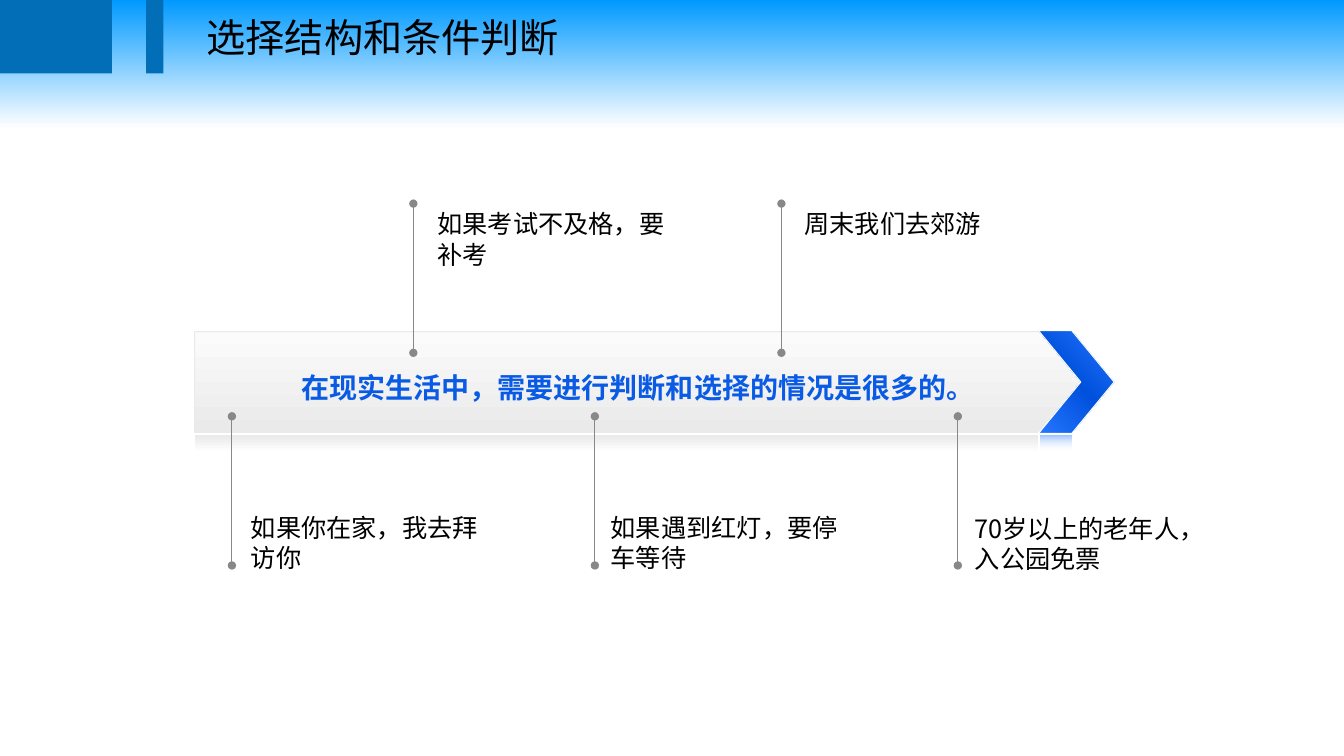
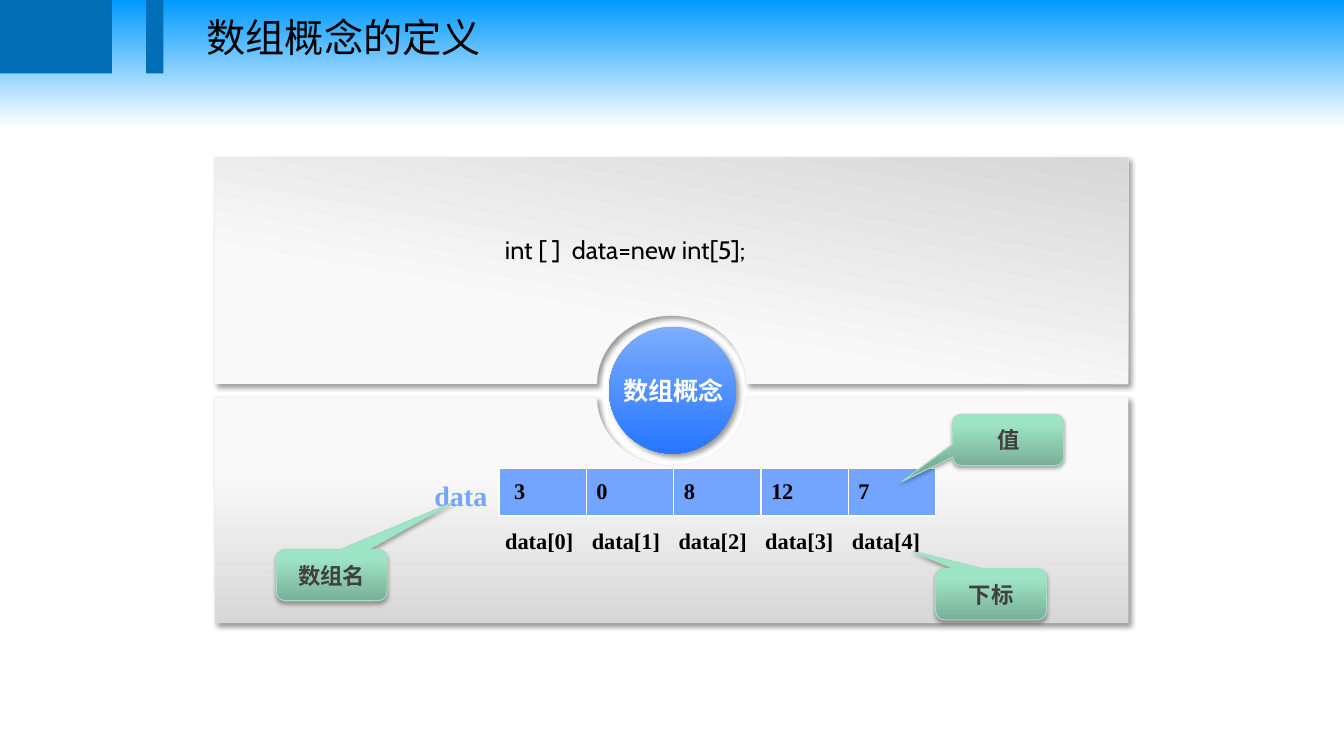
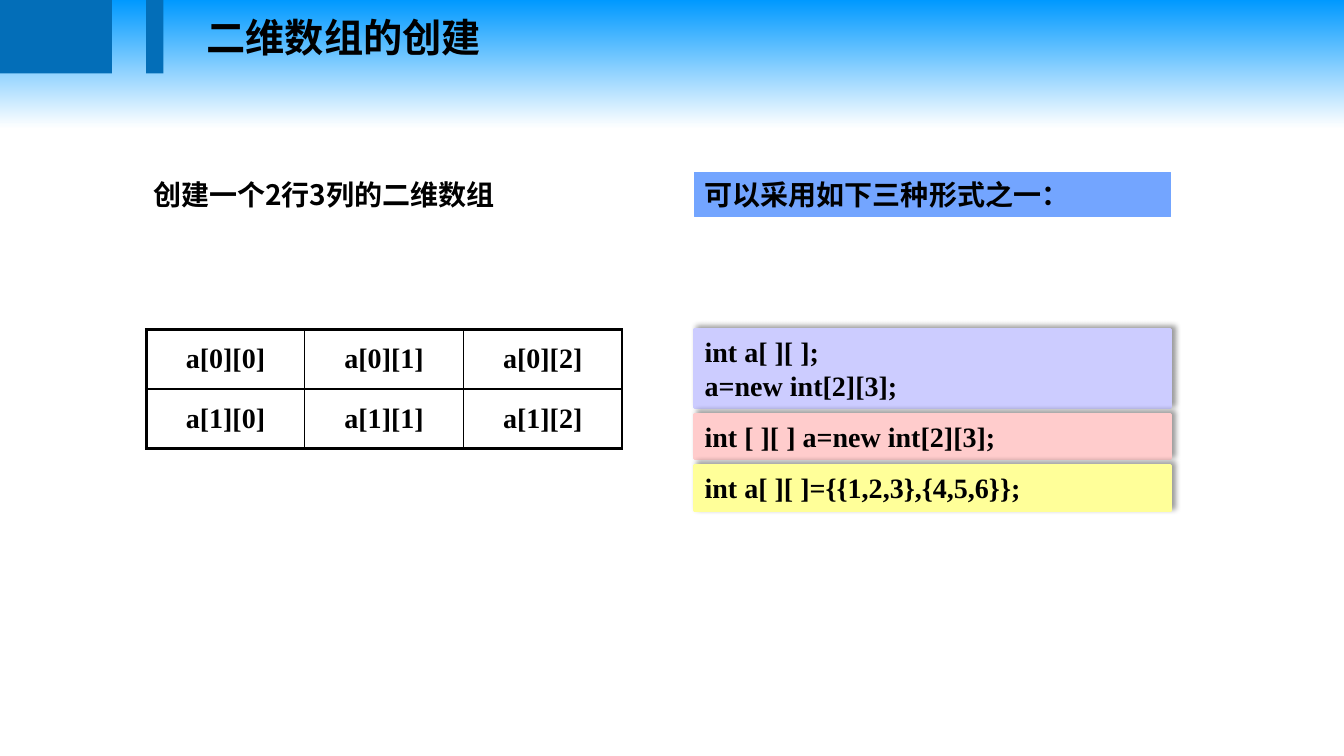
import math

from pptx import Presentation
from pptx.dml.color import RGBColor
from pptx.enum.shapes import MSO_CONNECTOR, MSO_SHAPE
from pptx.enum.text import MSO_ANCHOR, MSO_AUTO_SIZE, PP_ALIGN
from pptx.oxml import parse_xml
from pptx.oxml.ns import nsdecls, qn
from pptx.util import Inches, Pt

RECT, OVAL = MSO_SHAPE.RECTANGLE, MSO_SHAPE.OVAL
PENTAGON, CHEVRON = MSO_SHAPE.PENTAGON, MSO_SHAPE.CHEVRON
CALLOUT = MSO_SHAPE.ROUNDED_RECTANGULAR_CALLOUT
STRAIGHT = MSO_CONNECTOR.STRAIGHT
LEFT, CENTER = PP_ALIGN.LEFT, PP_ALIGN.CENTER
TOP, MIDDLE = MSO_ANCHOR.TOP, MSO_ANCHOR.MIDDLE
NO_FIT = MSO_AUTO_SIZE.NONE

# Colours
BLACK = RGBColor(0x00, 0x00, 0x00)
WHITE = RGBColor(0xFF, 0xFF, 0xFF)
SKY = RGBColor(0x00, 0x99, 0xFF)
BAND = RGBColor(0x03, 0x6E, 0xB8)
BRIGHT = RGBColor(0x26, 0x76, 0xFF)
DEEP = RGBColor(0x00, 0x51, 0xDC)
SLOGAN = RGBColor(0x09, 0x5A, 0xE4)
SOFT_BLUE = RGBColor(0x73, 0xA5, 0xFF)
BALL_TOP = RGBColor(0x7D, 0xAD, 0xFF)
EDGE = RGBColor(0xEA, 0xEA, 0xEA)
PALE = RGBColor(0xFB, 0xFB, 0xFB)
PANEL_LIGHT = RGBColor(0xF9, 0xF9, 0xF9)
PANEL_DARK = RGBColor(0xD7, 0xD7, 0xD7)
GRAY = RGBColor(0x88, 0x88, 0x88)
DARK = RGBColor(0x40, 0x40, 0x40)
GREEN_DARK = RGBColor(0x79, 0xAF, 0x98)
GREEN_MID = RGBColor(0x9D, 0xE3, 0xC5)
GREEN_LIGHT = RGBColor(0x9C, 0xE6, 0xC6)
GREEN_EDGE = RGBColor(0xA5, 0xDE, 0xC6)
LILAC = RGBColor(0xCC, 0xCC, 0xFF)
PINK = RGBColor(0xFF, 0xCC, 0xCC)
YELLOW = RGBColor(0xFF, 0xFF, 0x99)

# Fonts and text formats
SC, JP = "Noto Sans CJK SC", "Noto Sans CJK JP"
TIMES, CABIN, ARIAL = "Times New Roman", "Cabin", "Arial"
TITLE = dict(name=SC, size=Pt(28), bold=False, color=BLACK)
NOTE = dict(name=SC, size=Pt(18), bold=False, color=BLACK)
HEADING = dict(name=SC, size=Pt(20), bold=True, color=BLACK)
CODE = dict(name=TIMES, size=Pt(20), bold=True, color=BLACK)
ITEM = CODE | dict(size=Pt(16))
TAG = dict(name=SC, size=Pt(16), bold=True, color=DARK)

# Shadows: opacity %, blur pt, distance pt, direction
PANEL_SHADOW = (40, 4, 3, 45)
TAG_SHADOW = (35, 3.1, 1.8, 90)
CODE_SHADOW = (40, 4, 3, 315)


def inches(*values):
    return [Inches(v) for v in values]


def set_gradient(fill, stops, angle):
    """Stops are (position, colour) or (position, colour, opacity)."""
    gs = "".join(
        f'<a:gs pos="{pos * 1000}"><a:srgbClr val="{color}">'
        f'<a:alpha val="{(alpha[0] if alpha else 100) * 1000}"/></a:srgbClr></a:gs>'
        for pos, color, *alpha in stops)
    fill.background()
    parent = fill._xPr
    parent.replace(parent.find(qn("a:noFill")), parse_xml(
        f'<a:gradFill {nsdecls("a")} rotWithShape="1"><a:gsLst>{gs}</a:gsLst>'
        f'<a:lin ang="{angle * 60000}" scaled="0"/></a:gradFill>'))


def write(tf, lines, fmt, align=LEFT, anchor=TOP, spacing=None, wrap=True):
    for key, value in dict(word_wrap=wrap, auto_size=NO_FIT,
                           vertical_anchor=anchor).items():
        setattr(tf, key, value)
    for i, line in enumerate(lines.split("\n")):
        p = tf.paragraphs[0] if i == 0 else tf.add_paragraph()
        p.alignment = align
        if spacing:
            p.line_spacing = spacing
        r = p.add_run()
        r.text = line
        for key, value in fmt.items():
            if key == "color":
                r.font.color.rgb = value
            else:
                setattr(r.font, key, value)
        east = fmt["name"] if fmt["name"] in (SC, JP) else SC
        r.font._element.append(
            parse_xml(f'<a:ea {nsdecls("a")} typeface="{east}"/>'))


def add_text(s, box, text, fmt, **options):
    sp = s.shapes.add_textbox(*inches(*box))
    write(sp.text_frame, text, fmt, **options)
    return sp


def paint(sp, fill, line=None, shadow=None):
    """Fill is a colour or (stops, angle); line is (colour, points)."""
    if isinstance(fill, RGBColor):
        sp.fill.solid()
        sp.fill.fore_color.rgb = fill
    else:
        set_gradient(sp.fill, *fill)
    if line:
        sp.line.color.rgb, sp.line.width = line[0], Pt(line[1])
    else:
        sp.line.fill.background()
    sp.shadow.inherit = False
    if shadow:
        alpha, blur, dist, angle = shadow
        sp._element.spPr.find(qn("a:effectLst")).append(parse_xml(
            f'<a:outerShdw {nsdecls("a")} blurRad="{Pt(blur)}" dist="{Pt(dist)}" '
            f'dir="{angle * 60000}" algn="ctr" rotWithShape="0"><a:srgbClr val="{BLACK}">'
            f'<a:alpha val="{alpha * 1000}"/></a:srgbClr></a:outerShdw>'))


def add_box(s, kind, box, fill, line=None, shadow=None, adj=()):
    sp = s.shapes.add_shape(kind, *inches(*box))
    for i, value in enumerate(adj):
        sp.adjustments[i] = value
    paint(sp, fill, line, shadow)
    return sp


def add_pin(s, x, y1, y2):
    """A thin upright line with a dot at each end."""
    line = s.shapes.add_connector(STRAIGHT, *inches(x, y1, x, y2))
    line.line.color.rgb, line.line.width = GRAY, Pt(0.75)
    ln = line.line._get_or_add_ln()
    for end in ("headEnd", "tailEnd"):
        ln.append(parse_xml(f'<a:{end} {nsdecls("a")} type="oval"/>'))
    line._element.spPr.append(parse_xml(f'<a:effectLst {nsdecls("a")}/>'))


def add_callout(s, x, y, text, adj):
    stops = [(0, GREEN_DARK), (80, GREEN_MID), (100, GREEN_LIGHT)]
    sp = add_box(s, CALLOUT, (x, y, 1.1, 0.51), (stops, 270),
                 (GREEN_EDGE, 0.75), TAG_SHADOW, adj)
    write(sp.text_frame, text, TAG, align=CENTER, anchor=MIDDLE, wrap=False)


def add_panel(s, y_outer, y_inner, angle):
    """A wide panel whose inner edge has a round notch in the middle."""
    left, right, center, rx, ry = 2.13, 11.19, 6.66, 0.74, 0.68
    bulge = math.copysign(ry, y_outer - y_inner)
    notch = [(center + rx * math.cos(t), y_inner + bulge * math.sin(t))
             for t in (math.pi * i / 48 for i in range(49))]
    points = [(left, y_outer), (right, y_outer), (right, y_inner),
              *notch, (left, y_inner)]
    points = [inches(*point) for point in points]
    builder = s.shapes.build_freeform(*points[0])
    builder.add_line_segments(points[1:], close=True)
    paint(builder.convert_to_shape(),
          ([(33, PANEL_LIGHT), (100, PANEL_DARK)], angle),
          (EDGE, 0.25), PANEL_SHADOW)


def set_borders(cell, widths, color):
    """Widths in points for the left, right, top and bottom sides."""
    tcPr = cell._tc.get_or_add_tcPr()
    for i, (side, width) in enumerate(zip("LRTB", widths)):
        tcPr.insert(i, parse_xml(
            f'<a:ln{side} {nsdecls("a")} w="{Pt(width)}"><a:solidFill>'
            f'<a:srgbClr val="{color}"/></a:solidFill></a:ln{side}>'))


def add_grid(s, box, rows, fmt, border, inner, outer, align, margin, fill=None):
    n, m = len(rows), len(rows[0])
    table = s.shapes.add_table(n, m, *inches(*box)).table
    table.first_row = table.horz_banding = False
    for i, row in enumerate(rows):
        for j, text in enumerate(row):
            cell = table.cell(i, j)
            cell.margin_left = cell.margin_right = Inches(margin)
            if fill:
                cell.fill.solid()
                cell.fill.fore_color.rgb = fill
            else:
                cell.fill.background()
            on_edge = (j == 0, j == m - 1, i == 0, i == n - 1)
            set_borders(cell, [outer if e else inner for e in on_edge], border)
            write(cell.text_frame, text, fmt, align=align)
            cell.vertical_anchor = MIDDLE
    return table


def new_slide(prs, title, **changes):
    """Title-only slide with the blue blocks beside its title."""
    s = prs.slides.add_slide(prs.slide_layouts[5])
    for x, width in ((0, 1.11), (1.45, 0.17)):
        add_box(s, RECT, (x, 0, width, 0.73), BAND)
    sp = s.shapes.title
    sp.left, sp.top, sp.width, sp.height = inches(1.95, 0.08, 5.77, 0.57)
    write(sp.text_frame, title, TITLE | changes)
    return s


def build_choices(prs):
    s = new_slide(prs, "选择结构和条件判断")

    # Arrow bar with its reflection
    add_box(s, RECT, (1.93, 4.32, 8.37, 0.17), ([(0, EDGE), (100, WHITE)], 90))
    add_box(s, PENTAGON, (1.93, 3.29, 8.87, 1), ([(0, PALE), (100, EDGE)], 90),
            (EDGE, 0.75), adj=[0.4])
    add_box(s, CHEVRON, (10.3, 3.28, 0.75, 1.02),
            ([(0, BRIGHT), (50, DEEP), (100, BRIGHT)], 315),
            (WHITE, 0.75), adj=[0.56])
    add_box(s, RECT, (10.31, 4.31, 0.33, 0.17),
            ([(0, BRIGHT, 50), (100, WHITE, 0)], 90), (WHITE, 0.75))
    add_text(s, (2.89, 3.56, 7.48, 0.47),
             "在现实生活中，需要进行判断和选择的情况是很多的。",
             HEADING | dict(color=SLOGAN), spacing=1.2)

    # Examples: pin x, pin top, text x, text y, text, font, line spacing
    examples = [
        (2.3, 4.13, 2.39, 5.03, "如果你在家，我去拜访你", SC, None),
        (4.1, 2.02, 4.24, 2.02, "如果考试不及格，要补考", SC, None),
        (7.75, 2.02, 7.88, 1.87, "周末我们去郊游", CABIN, 1.5),
        (5.9, 4.13, 5.96, 5.03, "如果遇到红灯，要停车等待", CABIN, None),
        (9.5, 4.13, 9.57, 5.04, "70岁以上的老年人，入公园免票", SC, None),
    ]
    for pin_x, pin_y, x, y, text, font, spacing in examples:
        add_pin(s, pin_x, pin_y, pin_y + 1.48)
        add_text(s, (x, y, 2.56, 0.71), text, NOTE | dict(name=font),
                 spacing=spacing)


def build_array(prs):
    s = new_slide(prs, "数组概念的定义", name=JP)

    # Panels around the central ball
    add_panel(s, 1.56, 3.81, 280)
    add_panel(s, 6.18, 3.94, 90)
    add_box(s, OVAL, (6.04, 3.24, 1.26, 1.26),
            ([(0, BALL_TOP), (100, BRIGHT)], 90), shadow=PANEL_SHADOW)
    sp = add_text(s, (6.15, 3.57, 1.06, 0.45), "数组概念",
                  NOTE | dict(name=ARIAL, bold=True, color=WHITE),
                  align=CENTER, spacing=1.5)
    for side in ("left", "right", "top", "bottom"):
        setattr(sp.text_frame, f"margin_{side}", 0)

    # Array name, subscripts and values
    add_text(s, (4.21, 4.7, 0.73, 0.44), "data",
             CODE | dict(color=SOFT_BLUE), wrap=False)
    sp = add_text(s, (5.01, 5.18, 4.36, 0.37),
                  "\t".join(f"data[{i}]" for i in range(5)), ITEM)
    sp.text_frame.margin_left = 0
    tabs = "".join(f'<a:tab pos="{Inches(0.86 * i)}" algn="l"/>' for i in range(1, 5))
    sp.text_frame.paragraphs[0]._p.get_or_add_pPr().append(
        parse_xml(f'<a:tabLst {nsdecls("a")}>{tabs}</a:tabLst>'))
    table = add_grid(s, (4.95, 4.65, 4.33, 0.47), [["3", "0", "8", "12", "7"]],
                     ITEM, WHITE, 1, 1, LEFT, 0.1, SOFT_BLUE)
    table.cell(0, 0).margin_left = Inches(0.15)

    # Callouts and declaration
    add_callout(s, 2.74, 5.45, "数组名", (1.09, -1.41, 0.17))
    add_callout(s, 9.28, 5.64, "下标", (-0.7, -0.83, 0.17))
    add_text(s, (4.91, 2.28, 5.42, 0.4), "int [ ]  data=new int[5];",
             NOTE | dict(name=CABIN))
    add_callout(s, 9.45, 4.11, "值", (-0.96, 0.81, 0.17))


def build_matrix(prs):
    s = new_slide(prs, "二维数组的创建", bold=True)

    # Left: the array as a grid
    add_text(s, (1.42, 1.71, 4.66, 0.58), "创建一个2行3列的二维数组", HEADING)
    cells = [[f"a[{i}][{j}]" for j in range(3)] for i in range(2)]
    add_grid(s, (1.45, 3.27, 4.72, 1.18), cells, CODE, BLACK, 1, 2.25,
             CENTER, 0.13)

    # Right: three ways to create it
    x, width = 6.89, 4.72
    sp = add_box(s, RECT, (x, 1.71, width, 0.44), SOFT_BLUE, (SOFT_BLUE, 0.75))
    write(sp.text_frame, "可以采用如下三种形式之一：", HEADING)
    y = 3.27
    for text, height, color in (
            ("int a[ ][ ];\na=new int[2][3];", 0.77, LILAC),
            ("int [ ][ ] a=new int[2][3];", 0.44, PINK),
            ("int a[ ][ ]={{1,2,3},{4,5,6}};", 0.44, YELLOW)):
        sp = add_box(s, RECT, (x, y, width, height), color, (color, 2.25),
                     CODE_SHADOW)
        write(sp.text_frame, text, CODE)
        y += height + 0.07


def main():
    prs = Presentation()
    prs.slide_width, prs.slide_height = inches(13.33, 7.5)
    set_gradient(prs.slide_master.background.fill, [(0, SKY), (17, WHITE)], 90)
    build_choices(prs)
    build_array(prs)
    build_matrix(prs)
    prs.save("out.pptx")


if __name__ == "__main__":
    main()
